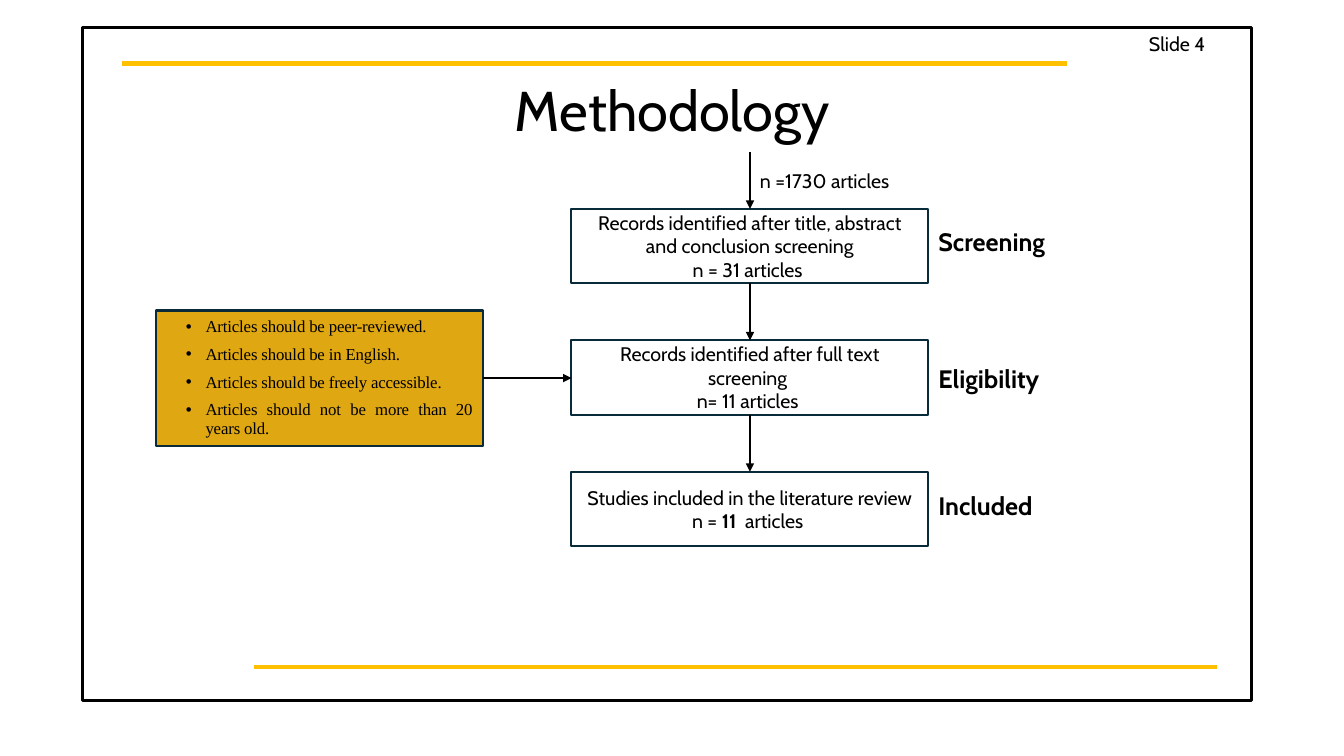
from dataclasses import dataclass

from lxml.etree import SubElement
from pptx import Presentation
from pptx.dml.color import RGBColor
from pptx.enum.shapes import MSO_CONNECTOR as Connector, MSO_SHAPE as Preset
from pptx.enum.text import MSO_ANCHOR as Anchor, MSO_AUTO_SIZE as AutoSize, PP_ALIGN as Align
from pptx.oxml.ns import qn
from pptx.util import Pt


@dataclass(frozen=True)
class Theme:
    ink: RGBColor = RGBColor(0, 0, 0)
    outline: RGBColor = RGBColor(0x09, 0x2A, 0x39)
    rule: RGBColor = RGBColor(0xFF, 0xC0, 0x00)
    criteria: RGBColor = RGBColor(0xDF, 0xA7, 0x11)
    font: str = "Cabin"
    list_font: str = "Times New Roman"
    title_size: int = 40
    label_size: int = 18
    text_size: int = 14
    list_size: int = 12


THEME = Theme()


@dataclass(frozen=True)
class Box:
    left: float
    top: float
    width: float
    height: float

    @property
    def right(self):
        return self.left + self.width

    @property
    def bottom(self):
        return self.top + self.height

    @property
    def center(self):
        return self.left + self.width / 2

    @property
    def middle(self):
        return self.top + self.height / 2

    def lengths(self):
        return Pt(self.left), Pt(self.top), Pt(self.width), Pt(self.height)


# Basic parts
def add_run(paragraph, text, size, bold=False, font=THEME.font):
    run = paragraph.add_run()
    run.text = text
    run.font.name = font
    run.font.size = Pt(size)
    run.font.bold = bold
    run.font.color.rgb = THEME.ink
    return run


def add_line(slide, start, end, color=THEME.ink, width=2, arrow=False):
    line = slide.shapes.add_connector(Connector.STRAIGHT, *map(Pt, start + end))
    line.line.color.rgb = color
    line.line.width = Pt(width)
    if arrow:
        SubElement(line.line._get_or_add_ln(), qn("a:tailEnd"), type="triangle")
    SubElement(line._element.spPr, qn("a:effectLst"))


def add_frame(slide, box, color, width):
    frame = slide.shapes.add_shape(Preset.RECTANGLE, *box.lengths())
    frame.shadow.inherit = False
    frame.fill.background()
    frame.line.color.rgb = color
    frame.line.width = Pt(width)
    return frame


def add_label(slide, box, text, size, bold=False):
    label = slide.shapes.add_textbox(*box.lengths()).text_frame
    label.word_wrap = True
    label.auto_size = AutoSize.SHAPE_TO_FIT_TEXT
    add_run(label.paragraphs[0], text, size, bold)


def place(placeholder, box):
    placeholder.left, placeholder.top, placeholder.width, placeholder.height = box.lengths()
    text = placeholder.text_frame
    text.word_wrap = True
    text.auto_size = AutoSize.NONE
    text.vertical_anchor = Anchor.MIDDLE
    return text


# Border, yellow rules and slide number
def add_border(slide, box):
    top_rule, bottom_rule = box.top + 26, box.bottom - 24
    add_line(slide, (box.left + 28, top_rule), (box.right - 132, top_rule), THEME.rule, 3.25)
    add_frame(slide, box, THEME.ink, 2)
    add_line(slide, (box.left + 122.5, bottom_rule), (box.right - 25, bottom_rule),
             THEME.rule, 3.25)
    add_label(slide, Box(box.right - 80.6, box.top, 80, 24.2), "Slide 4", THEME.text_size)


def add_title(slide, box):
    heading = place(slide.shapes.title, box).paragraphs[0]
    heading.alignment = Align.CENTER
    heading.line_spacing = 0.9
    add_run(heading, "Methodology", THEME.title_size)


# Stages of the review: label, label offset, paragraphs of (text, bold) runs
STAGES = [
    ("Screening", 8.7, [
        [("Records identified after title, abstract and conclusion screening", False)],
        [("n = 31 articles ", False)]]),
    ("Eligibility", 12.5, [
        [("Records identified after full text screening ", False)],
        [("n= 11 articles ", False)]]),
    ("Included", 10, [
        [("Studies included in the literature review", False)],
        [("n = ", False), ("11", True), ("  articles ", False)]]),
]


def add_stage(slide, box, gap, name, name_offset, paragraphs):
    text = add_frame(slide, box, THEME.outline, 1.5).text_frame
    text.word_wrap = True
    text.vertical_anchor = Anchor.MIDDLE
    for index, runs in enumerate(paragraphs):
        paragraph = text.add_paragraph() if index else text.paragraphs[0]
        paragraph.alignment = Align.CENTER
        for words, bold in runs:
            add_run(paragraph, words, THEME.text_size, bold)
    add_line(slide, (box.center, box.top - gap), (box.center, box.top), arrow=True)
    add_label(slide, Box(box.right, box.top + name_offset, 101, 29),
              name, THEME.label_size, bold=True)


def add_flow(slide, box):
    gap = 40.6
    height = (box.height - gap * len(STAGES)) / len(STAGES)
    add_label(slide, Box(box.center, box.top + 8.6, 111.6, 24.2),
              "n =1730 articles", THEME.text_size)
    for index, stage in enumerate(STAGES):
        top = box.top + gap + index * (height + gap)
        add_stage(slide, Box(box.left, top, box.width, height), gap, *stage)


# Inclusion criteria, pointing at the eligibility stage
CRITERIA = [
    "Articles should be peer-reviewed.",
    "Articles should be in English. ",
    "Articles should be freely accessible. ",
    "Articles should not be more than 20 years old.",
]


def add_criteria(slide, box, target_left):
    panel = slide.placeholders[1]
    text = place(panel, box)
    panel.fill.solid()
    panel.fill.fore_color.rgb = THEME.criteria
    panel.line.color.rgb = THEME.outline
    panel.line.width = Pt(1.5)
    for index, criterion in enumerate(CRITERIA):
        item = text.add_paragraph() if index else text.paragraphs[0]
        item.alignment = Align.JUSTIFY
        item.line_spacing = 0.95
        item.space_before = Pt(0)
        item.space_after = Pt(6)
        properties = item._p.get_or_add_pPr()
        properties.set("marL", str(Pt(28)))
        properties.set("indent", str(Pt(-14)))
        SubElement(properties, qn("a:buFont"), typeface="Arial")
        SubElement(properties, qn("a:buChar"), char="•")
        run = add_run(item, criterion, THEME.list_size, font=THEME.list_font)
        run._r.get_or_add_rPr().set("spc", "-10")
    add_line(slide, (box.right, box.middle), (target_left, box.middle), arrow=True)


def main():
    deck = Presentation()
    deck.slide_width, deck.slide_height = Pt(960), Pt(540)
    slide = deck.slides.add_slide(deck.slide_layouts[1])
    flow = Box(408.2, 108.6, 255, 281.7)
    add_border(slide, Box(59, 19.4, 835.2, 481))
    add_title(slide, Box(66.2, 28.8, 828, 104.4))
    add_flow(slide, flow)
    add_criteria(slide, Box(111.6, 221.8, 233.3, 96.5), flow.left)
    deck.save("out.pptx")


if __name__ == "__main__":
    main()
